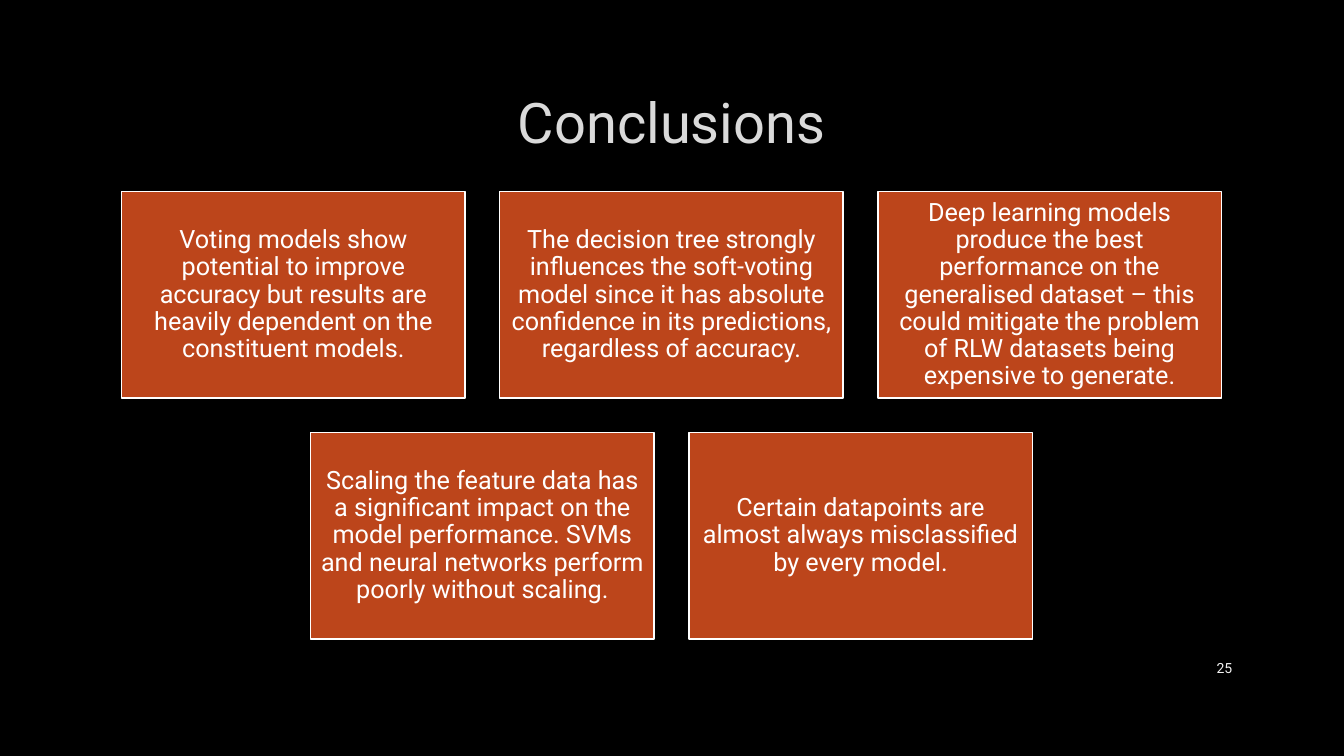
from dataclasses import dataclass

import pptx
import pptx.dml.color
import pptx.enum.shapes
import pptx.enum.text
import pptx.util

Inches = pptx.util.Inches
RGB = pptx.dml.color.RGBColor.from_string
ALIGN = pptx.enum.text.PP_ALIGN


@dataclass(frozen=True)
class Theme:
    font: str = "Roboto"
    background: str = "000000"
    title: str = "DADADA"
    card: str = "BC451B"
    card_text: str = "FFFFFF"
    number: str = "F2F2F2"
    title_size: int = 40
    card_size: int = 18
    number_size: int = 10


@dataclass(frozen=True)
class Box:
    left: float
    top: float
    width: float
    height: float

    def lengths(self) -> tuple:
        return tuple(Inches(v) for v in (self.left, self.top, self.width, self.height))


THEME = Theme()
CARD_WIDTH, CARD_HEIGHT, CARD_GAP = 3.41, 2.05, 0.34
CARDS_TOP, CARDS_CENTRE = 1.9, 6.66
CONCLUSION_ROWS = [
    [
        "Voting models show potential to improve accuracy but results are "
        "heavily dependent on the constituent models.",
        "The decision tree strongly influences the soft-voting model since it has "
        "absolute confidence in its predictions, regardless of accuracy.",
        "Deep learning models produce the best performance on the generalised dataset – "
        "this could mitigate the problem of RLW datasets being expensive to generate.",
    ],
    [
        "Scaling the feature data has a significant impact on the model performance. "
        "SVMs and neural networks perform poorly without scaling.",
        "Certain datapoints are almost always misclassified by every model.",
    ],
]


def write(s, text: str, size: int, color: str, align=ALIGN.CENTER) -> None:
    tf = s.text_frame
    tf.text = text
    tf.word_wrap = True
    tf.vertical_anchor = pptx.enum.text.MSO_ANCHOR.MIDDLE
    p = tf.paragraphs[0]
    p.alignment = align
    font = p.runs[0].font
    font.name = THEME.font
    font.size = pptx.util.Pt(size)
    font.color.rgb = RGB(color)


def add_title(s, text: str, box: Box) -> None:
    title = s.shapes.title
    title.left, title.top, title.width, title.height = box.lengths()
    write(title, text, THEME.title_size, THEME.title)


def add_card(s, text: str, box: Box) -> None:
    card = s.shapes.add_shape(pptx.enum.shapes.MSO_SHAPE.RECTANGLE, *box.lengths())
    card.shadow.inherit = False
    card.fill.solid()
    card.fill.fore_color.rgb = RGB(THEME.card)
    card.line.color.rgb = RGB(THEME.card_text)
    card.line.width = pptx.util.Pt(1.25)
    write(card, text, THEME.card_size, THEME.card_text)
    tf = card.text_frame
    tf.margin_left = tf.margin_right = tf.margin_top = tf.margin_bottom = Inches(0.07)
    tf.paragraphs[0].line_spacing = 0.9


def add_cards(s, rows: list[list[str]]) -> None:
    """Draw each row of cards centred on the same axis."""
    for i, row in enumerate(rows):
        row_width = len(row) * (CARD_WIDTH + CARD_GAP) - CARD_GAP
        top = CARDS_TOP + i * (CARD_HEIGHT + CARD_GAP)
        for j, text in enumerate(row):
            left = CARDS_CENTRE - row_width / 2 + j * (CARD_WIDTH + CARD_GAP)
            add_card(s, text, Box(left, top, CARD_WIDTH, CARD_HEIGHT))


def add_page_number(s, number: str, box: Box) -> None:
    text_box = s.shapes.add_textbox(*box.lengths())
    write(text_box, number, THEME.number_size, THEME.number, ALIGN.RIGHT)


def main() -> None:
    prs = pptx.Presentation()
    prs.slide_width, prs.slide_height = Inches(13.33), Inches(7.5)
    s = prs.slides.add_slide(prs.slide_layouts.get_by_name("Title Only"))
    s.background.fill.solid()
    s.background.fill.fore_color.rgb = RGB(THEME.background)
    add_title(s, "Conclusions", Box(1, 0.67, 11.32, 1.06))
    add_cards(s, CONCLUSION_ROWS)
    add_page_number(s, "25", Box(11.5, 6.43, 0.82, 0.4))
    prs.save("out.pptx")


if __name__ == "__main__":
    main()
